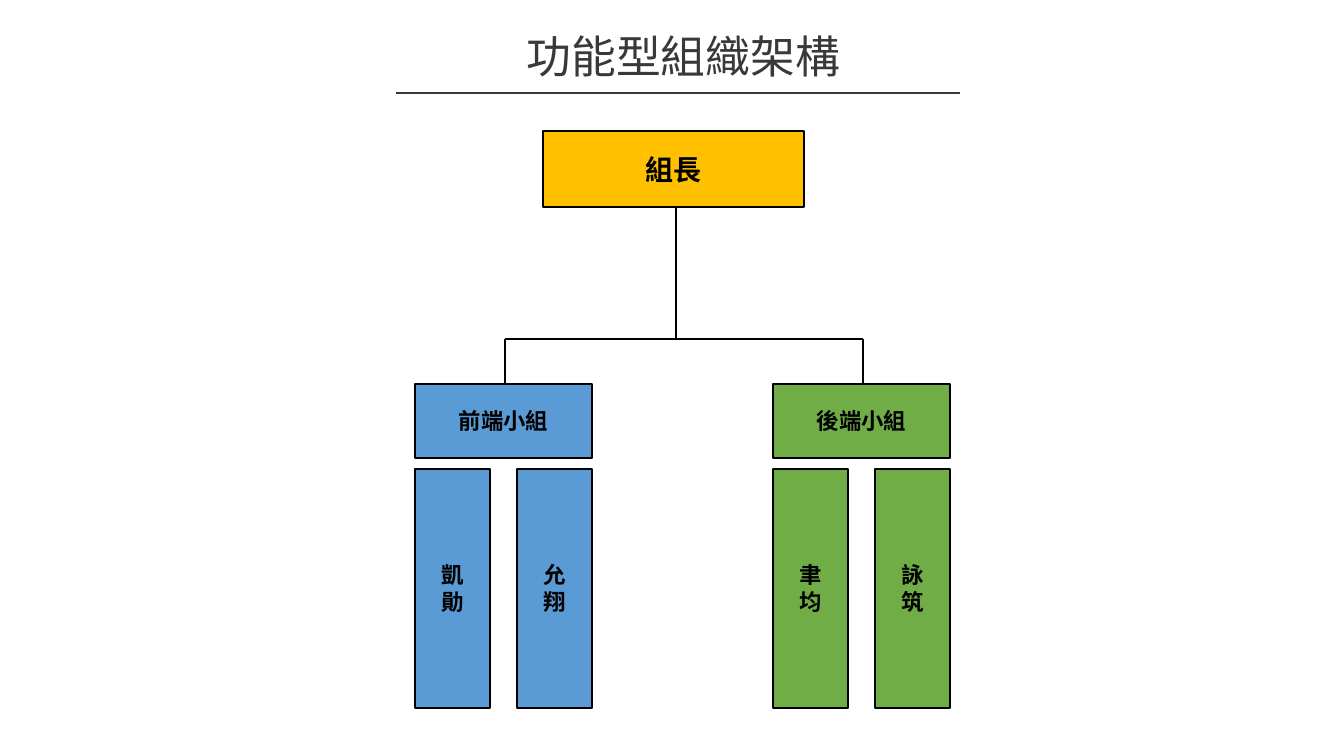
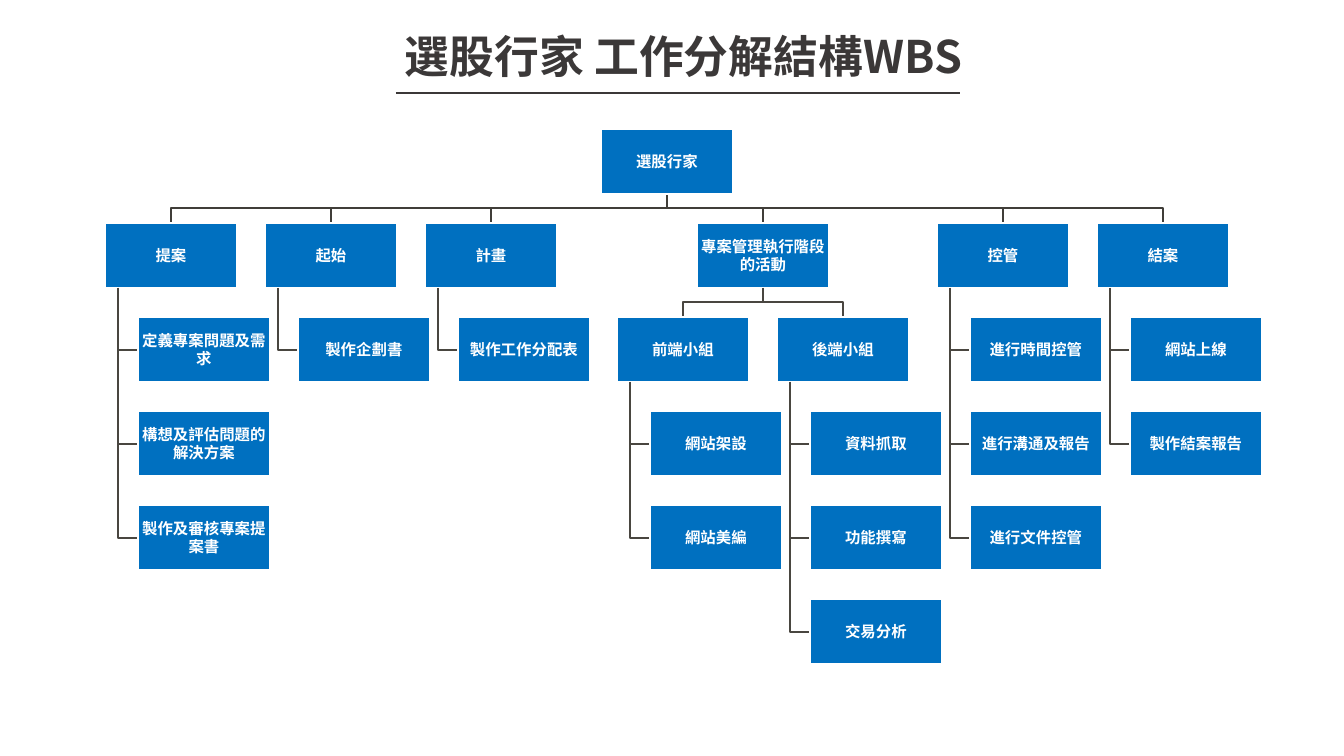
"""Build two slides: a team organisation chart and a work breakdown structure."""
from lxml import etree
from pptx import Presentation
from pptx.dml.color import RGBColor
from pptx.enum.shapes import MSO_CONNECTOR, MSO_SHAPE
from pptx.enum.text import MSO_ANCHOR, MSO_AUTO_SIZE, PP_ALIGN
from pptx.oxml.ns import qn
from pptx.util import Emu, Pt

RECTANGLE = MSO_SHAPE.RECTANGLE
STRAIGHT = MSO_CONNECTOR.STRAIGHT
TOP, MIDDLE = MSO_ANCHOR.TOP, MSO_ANCHOR.MIDDLE
NO_AUTOSIZE = MSO_AUTO_SIZE.NONE
CENTER = PP_ALIGN.CENTER

EMU_PER_PX = 914400 / 100.8
PAGE_WIDTH, PAGE_HEIGHT = 1344, 756
TITLE_ONLY = 5
FONT = "Noto Sans CJK SC"
COLORS = {
    "title": "3B3838",
    "black": "000000",
    "white": "FFFFFF",
    "leader": "FFC000",
    "front": "5B9BD5",
    "back": "70AD47",
    "work": "0070C0",
    "trunk": "403E39",
    "branch": "494640",
}

TEAMS = [
    ("前端小組", "front", ["凱勛", "允翔"]),
    ("後端小組", "back", ["聿均", "詠筑"]),
]

STAGES = [
    (0, "提案", ["定義專案問題及需求", "構想及評估問題的解決方案", "製作及審核專案提案書"]),
    (1, "起始", ["製作企劃書"]),
    (2, "計畫", ["製作工作分配表"]),
    (3.7, "專案管理執行階段的活動", []),
    (5.2, "控管", ["進行時間控管", "進行溝通及報告", "進行文件控管"]),
    (6.2, "結案", ["網站上線", "製作結案報告"]),
]
EXECUTION_COLUMN = 3.7
EXECUTION_TEAMS = [
    (3.2, "前端小組", ["網站架設", "網站美編"]),
    (4.2, "後端小組", ["資料抓取", "功能撰寫", "交易分析"]),
]


def px(length):
    """Turn a length in px into EMU."""
    return Emu(round(length * EMU_PER_PX))


def rgb(name):
    """Look up a named colour."""
    return RGBColor.from_string(COLORS[name])


def style_text(frame, size, color, bold, anchor):
    """Centre and format every paragraph of a text frame."""
    frame.word_wrap = True
    frame.auto_size = NO_AUTOSIZE
    frame.vertical_anchor = anchor
    for paragraph in frame.paragraphs:
        paragraph.alignment = CENTER
        font = paragraph.font
        font.size, font.bold, font.name = Pt(size), bold, FONT
        font.color.rgb = rgb(color)
        etree.SubElement(font._element, qn("a:ea")).set("typeface", FONT)


def add_box(page, box, text, fill, line, text_color, size, line_width=1, inset=None):
    """Add a filled rectangle with bold centred text."""
    shape = page.shapes.add_shape(RECTANGLE, *map(px, box))
    shape.shadow.inherit = False
    shape.fill.solid()
    shape.fill.fore_color.rgb = rgb(fill)
    shape.line.color.rgb = rgb(line)
    shape.line.width = Pt(line_width)
    frame = shape.text_frame
    frame.text = text
    if inset is not None:
        frame.margin_left = frame.margin_right = px(inset)
        frame.margin_top = frame.margin_bottom = px(inset)
    style_text(frame, size, text_color, True, MIDDLE)


def add_line(page, start, end, color="black", width=1):
    """Add a straight line between two points."""
    line = page.shapes.add_connector(STRAIGHT, *map(px, (*start, *end)))
    line.line.color.rgb = rgb(color)
    line.line.width = Pt(width)
    etree.SubElement(line._element.spPr, qn("a:effectLst"))


def add_elbow(page, points, color):
    """Add an open bent line through the points."""
    builder = page.shapes.build_freeform(*points[0], scale=EMU_PER_PX)
    builder.add_line_segments(points[1:], close=False)
    shape = builder.convert_to_shape()
    shape.shadow.inherit = False
    shape.fill.background()
    shape.line.color.rgb = rgb(color)
    shape.line.width = Pt(1)


def add_page(deck, title, bold):
    """Add a slide with the shared title and the rule under it."""
    page = deck.slides.add_slide(deck.slide_layouts[TITLE_ONLY])
    holder = page.shapes.title
    holder.left, holder.top, holder.width, holder.height = map(px, (378, 24, 611, 65))
    holder.text_frame.text = title
    style_text(holder.text_frame, 32, "title", bold, TOP)
    add_line(page, (396, 93), (960, 93), "title", 2)
    return page


def draw_team(page, left, top, name, fill, members):
    """Draw a team box with its member columns below."""
    width, member_width = 177, 75
    add_box(page, (left, top, width, 74), name, fill, "black", "black", 16)
    for index, member in enumerate(members):
        member_left = left + index * (width - member_width)
        add_box(page, (member_left, top + 85, member_width, 239),
                "\n".join(member), fill, "black", "black", 16)


def draw_organisation(page, left, top):
    """Draw the leader, the branching lines and the teams."""
    team_step, team_top, bar = 358, top + 253, top + 208
    stem, first_drop = left + 261, left + 90
    add_line(page, (stem, top + 76), (stem, bar))
    add_line(page, (first_drop, bar), (first_drop + team_step, bar))
    for index, (name, fill, members) in enumerate(TEAMS):
        drop = first_drop + index * team_step
        add_line(page, (drop, bar), (drop, team_top))
        draw_team(page, left + index * team_step, team_top, name, fill, members)
    add_box(page, (left + 128, top, 261, 76), "組長", "leader", "black", "black", 20, 1.5)


def draw_breakdown(page, left, top):
    """Draw the work breakdown tree on a grid of columns and rows."""
    column_step, row_step, width, height = 160, 94, 132, 65
    indent, spine = 33, 13

    def corner(column, row):
        """Give the top left corner of a grid cell."""
        return left + column * column_step, top + row * row_step

    def draw_node(x, y, text):
        """Draw one work box."""
        add_box(page, (x, y, width, height), text, "work", "white", "white", 11, inset=1)

    def draw_leaves(column, row, leaves):
        """Hang a list of leaves from the node at a cell."""
        x, y = corner(column, row)
        for index, leaf in enumerate(leaves, 1):
            leaf_top = y + index * row_step
            middle = leaf_top + height / 2
            add_elbow(page, [(x + spine, y + height), (x + spine, middle),
                             (x + indent, middle)], "branch")
            draw_node(x + indent, leaf_top, leaf)

    def draw_children(column, row, children, color):
        """Spread children in the row under the node at a cell."""
        x, y = corner(column, row)
        center, bottom = x + width / 2, y + height
        bar = bottom + (row_step - height) / 2
        for child_column, text, leaves in children:
            child_left, child_top = corner(child_column, row + 1)
            child_center = child_left + width / 2
            add_elbow(page, [(center, bottom), (center, bar), (child_center, bar),
                             (child_center, child_top)], color)
            draw_node(child_left, child_top, text)
            draw_leaves(child_column, row + 1, leaves)

    root_column = (STAGES[0][0] + STAGES[-1][0]) / 2
    draw_children(root_column, 0, STAGES, "trunk")
    draw_children(EXECUTION_COLUMN, 1, EXECUTION_TEAMS, "branch")
    draw_node(*corner(root_column, 0), "選股行家")


def main():
    """Build and save the deck."""
    deck = Presentation()
    deck.slide_width, deck.slide_height = px(PAGE_WIDTH), px(PAGE_HEIGHT)
    draw_organisation(add_page(deck, "功能型組織架構", False), 415, 131)
    draw_breakdown(add_page(deck, "選股行家 工作分解結構WBS", True), 105, 129)
    deck.save("out.pptx")


if __name__ == "__main__":
    main()
